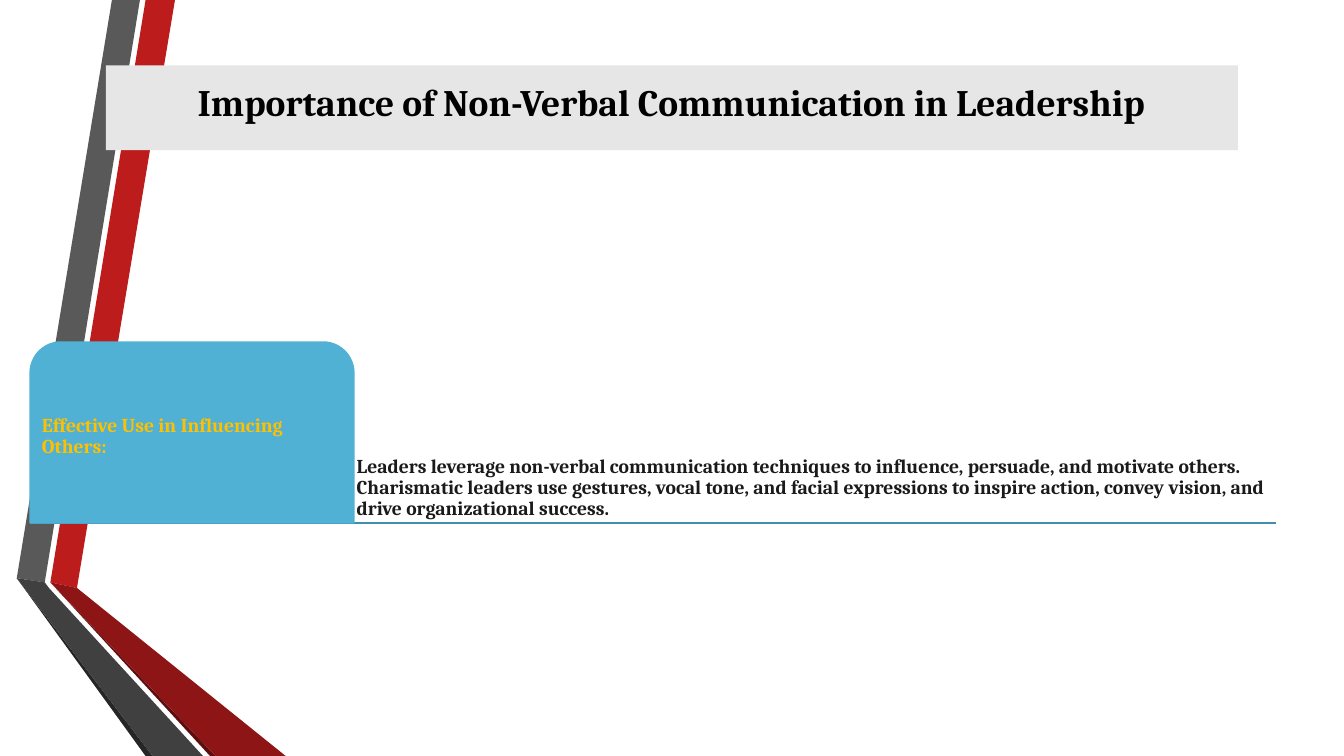
import pptx
import pptx.util
import pptx.dml.color
import pptx.enum.shapes
import pptx.enum.text
import pptx.oxml.ns
import lxml.etree

Pt = pptx.util.Pt
Kind = pptx.enum.shapes.MSO_SHAPE
Anchor = pptx.enum.text.MSO_ANCHOR
Align = pptx.enum.text.PP_ALIGN


def color(code):
    return pptx.dml.color.RGBColor.from_string(code)


class Page:
    """Holds the style and the current slide."""
    font = "Cambria"
    line = 1.25

    def __init__(self, deck):
        self.shapes = deck.slides.add_slide(deck.slide_layouts[6]).shapes

    def paint(self, shape, fill, edge=None):
        shape.shadow.inherit = False
        shape.fill.solid()
        shape.fill.fore_color.rgb = color(fill)
        if edge:
            shape.line.color.rgb = color(edge)
            shape.line.width = Pt(self.line)
        else:
            shape.line.fill.background()

    def band(self, fill, start, *rest):
        form = self.shapes.build_freeform(*start, scale=Pt(1))
        form.add_line_segments(rest, close=True)
        self.paint(form.convert_to_shape(), fill)

    def block(self, kind, box, fill, edge=None):
        shape = self.shapes.add_shape(kind, *map(Pt, box))
        self.paint(shape, fill, edge)
        return shape

    def rule(self, x1, y1, x2, y2, code):
        line = self.shapes.add_connector(
            pptx.enum.shapes.MSO_CONNECTOR.STRAIGHT, Pt(x1), Pt(y1), Pt(x2), Pt(y2))
        line.line.color.rgb = color(code)
        line.line.width = Pt(self.line)
        lxml.etree.SubElement(line._element.spPr, pptx.oxml.ns.qn("a:effectLst"))

    def label(self, shape, text, size, code, anchor, inset, align=Align.LEFT, space=1.0):
        frame = shape.text_frame
        frame.text = text
        frame.word_wrap = True
        frame.vertical_anchor = anchor
        frame.margin_left = frame.margin_right = Pt(inset)
        frame.margin_top = frame.margin_bottom = Pt(inset)
        para = frame.paragraphs[0]
        para.alignment = align
        para.line_spacing = space
        font = para.runs[0].font
        font.name, font.size, font.bold = self.font, Pt(size), True
        font.color.rgb = color(code)

    def note(self, box, text, code, anchor):
        shape = self.shapes.add_textbox(*map(Pt, box))
        self.label(shape, text, 14, code, anchor, 2.1, space=0.9)


def main():
    deck = pptx.Presentation()
    deck.slide_width, deck.slide_height = Pt(960), Pt(540)
    page = Page(deck)

    # Folded ribbons: upper bands, dark edges, lower bands
    foot = 540
    red, red_in = (36, 416.5), (55.4, 419.8)
    gray, gray_in = (11.5, 412.6), (31.7, 415.6)
    page.band("BC1C1C", red, red_in, (124.6, 0), (104.4, 0))
    page.band("595959", gray, gray_in, (100.1, 0), (79.9, 0))
    page.band("262626", gray, (104.4, foot), (108.7, foot))
    page.band("5E0E0E", red, (149.8, foot), (154.1, foot))
    page.band("8D1515", red, (154.1, foot), (203.8, foot), red_in)
    page.band("404040", gray, (108.7, foot), (145.4, foot), (34.6, 419.8), gray_in)

    # Topic tab with its text
    left, top, wide, high = 21.6, 244.4, 231.1, 129.1
    base = top + high
    page.rule(left, base, 911.5, base, "408EAA")
    page.note((left + wide, top, 658.1, high),
              "Leaders leverage non-verbal communication techniques to influence, "
              "persuade, and motivate others. Charismatic leaders use gestures, "
              "vocal tone, and facial expressions to inspire action, convey vision, "
              "and drive organizational success.", "1A1A1A", Anchor.BOTTOM)
    tab = page.block(Kind.ROUND_2_SAME_RECTANGLE, (left, top, wide, high), "50B1D4", "50B1D4")
    tab.adjustments[0] = 0.17
    inset = 6.3
    page.note((left + inset, top + inset, wide - 2 * inset, high - inset),
              "Effective Use in Influencing Others:", "FFC000", Anchor.MIDDLE)

    # Title
    title = page.block(Kind.RECTANGLE, (75.6, 46.8, 808.6, 60.5), "E6E6E6")
    page.label(title, "Importance of Non-Verbal Communication in Leadership",
               26.7, "000000", Anchor.TOP, 9.6, Align.CENTER)

    deck.save("out.pptx")


if __name__ == "__main__":
    main()
